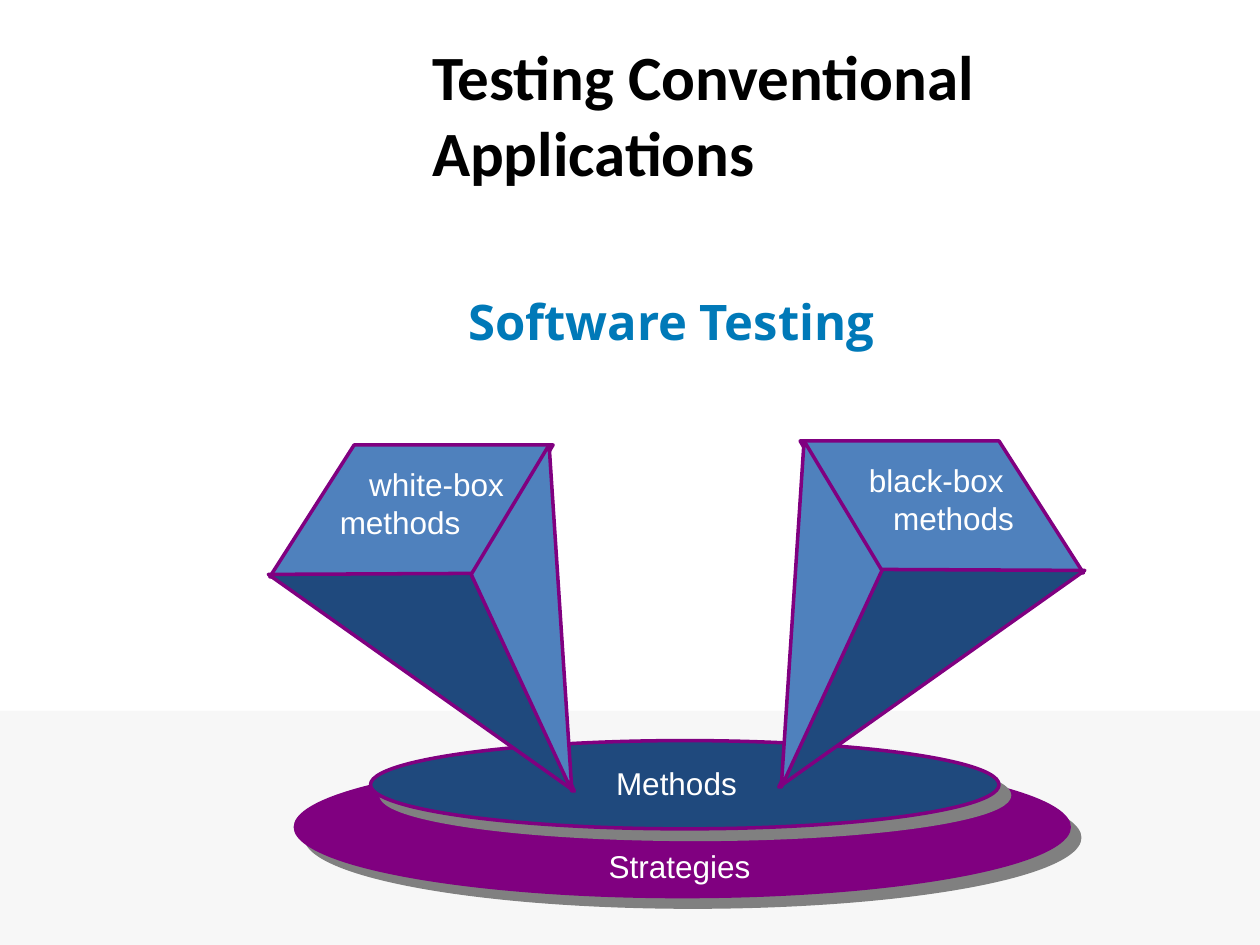
from lxml import etree
from pptx import Presentation
from pptx.dml.color import RGBColor
from pptx.enum.shapes import MSO_SHAPE
from pptx.enum.text import MSO_ANCHOR, PP_ALIGN
from pptx.oxml.ns import qn
from pptx.util import Cm, Pt

RECT, OVAL = MSO_SHAPE.RECTANGLE, MSO_SHAPE.OVAL
TOP, MIDDLE = MSO_ANCHOR.TOP, MSO_ANCHOR.MIDDLE
LEFT, MID, RIGHT = PP_ALIGN.LEFT, PP_ALIGN.CENTER, PP_ALIGN.RIGHT
WHITE = RGBColor(0xFF, 0xFF, 0xFF)
BLACK = RGBColor(0, 0, 0)
PALE = RGBColor(0xF7, 0xF7, 0xF7)
SKY = RGBColor(0x00, 0x79, 0xB8)
BLUE = RGBColor(0x4F, 0x81, 0xBD)
NAVY = RGBColor(0x1F, 0x49, 0x7D)
PLUM = RGBColor(0x80, 0x00, 0x80)

deck = Presentation()
deck.slide_width, deck.slide_height = Cm(25.4), Cm(19.05)
slide = deck.slides.add_slide(deck.slide_layouts[6])
shapes = slide.shapes


def paint(shape, fill, line=None):
    shape.shadow.inherit = False
    shape.fill.solid()
    shape.fill.fore_color.rgb = fill
    if line is None:
        shape.line.fill.background()
    else:
        shape.line.color.rgb = line
        shape.line.width = Pt(2)


def write(box, lines, font, size, color, bold=False, anchor=TOP):
    frame = shapes.add_textbox(*map(Cm, box)).text_frame
    frame.word_wrap = True
    frame.vertical_anchor = anchor
    for i, (text, align, indent) in enumerate(lines):
        para = frame.add_paragraph() if i else frame.paragraphs[0]
        para.alignment = align
        if indent:
            para._p.get_or_add_pPr().set("marL", str(Cm(indent)))
        run = para.add_run()
        run.text = text
        run.font.name = font
        run.font.size = Pt(size)
        run.font.bold = bold
        run.font.color.rgb = color


paint(shapes.add_shape(RECT, 0, Cm(14.33), Cm(25.4), Cm(4.72)), PALE)

write((6.2, 5.59, 14.66, 1.75), [("Software Testing", MID, 0)],
      "Open Sans", 28, SKY, True, MIDDLE)

disks = [
    ((5.92, 15.24, 15.67, 2.87), PLUM, None),
    ((7.47, 14.93, 12.67, 1.78), NAVY, PLUM),
]
for box, fill, line in disks:
    disk = shapes.add_shape(OVAL, *map(Cm, box))
    paint(disk, fill, line)
    glow = disk._element.spPr.find(qn("a:effectLst"))
    shade = etree.SubElement(glow, qn("a:outerShdw"), dist=str(Pt(8.5)),
                             dir="2700000", algn="ctr", rotWithShape="0")
    etree.SubElement(shade, qn("a:srgbClr"), val="808080")

faces = [
    (BLUE, [(11.15, 8.97), (7.14, 8.97), (5.44, 11.63), (9.55, 11.63)]),
    (NAVY, [(5.41, 11.58), (11.58, 15.95), (9.5, 11.56)]),
    (BLUE, [(11.53, 15.95), (9.5, 11.58), (11.07, 8.97)]),
]
for start, sign, rise in [(0, 1, 0), (27.28, -1, 0.08)]:
    for fill, points in faces:
        spots = [(Cm(start + sign * x), Cm(y - rise)) for x, y in points]
        path = shapes.build_freeform(*spots[0])
        path.add_line_segments(spots[1:], close=True)
        paint(path.convert_to_shape(), fill, PLUM)

labels = [
    ((12.17, 15.27, 3.4, 1.02), [("Methods", LEFT, 0)]),
    ((12.02, 16.95, 4, 1.02), [("Strategies", LEFT, 0)]),
    ((6.6, 9.25, 3.81, 1.78), [("white-box", RIGHT, 0), ("methods", LEFT, 0)]),
    ((16.97, 9.17, 3.81, 1.78), [("black-box", MID, 0), ("methods", MID, 0.7)]),
]
for box, lines in labels:
    write(box, lines, "Arial", 18, WHITE)

write((8.46, 0.64, 15.44, 3.3),
      [("Testing Conventional Applications", LEFT, 0)],
      "Calibri", 36, BLACK, True)

deck.save("out.pptx")
